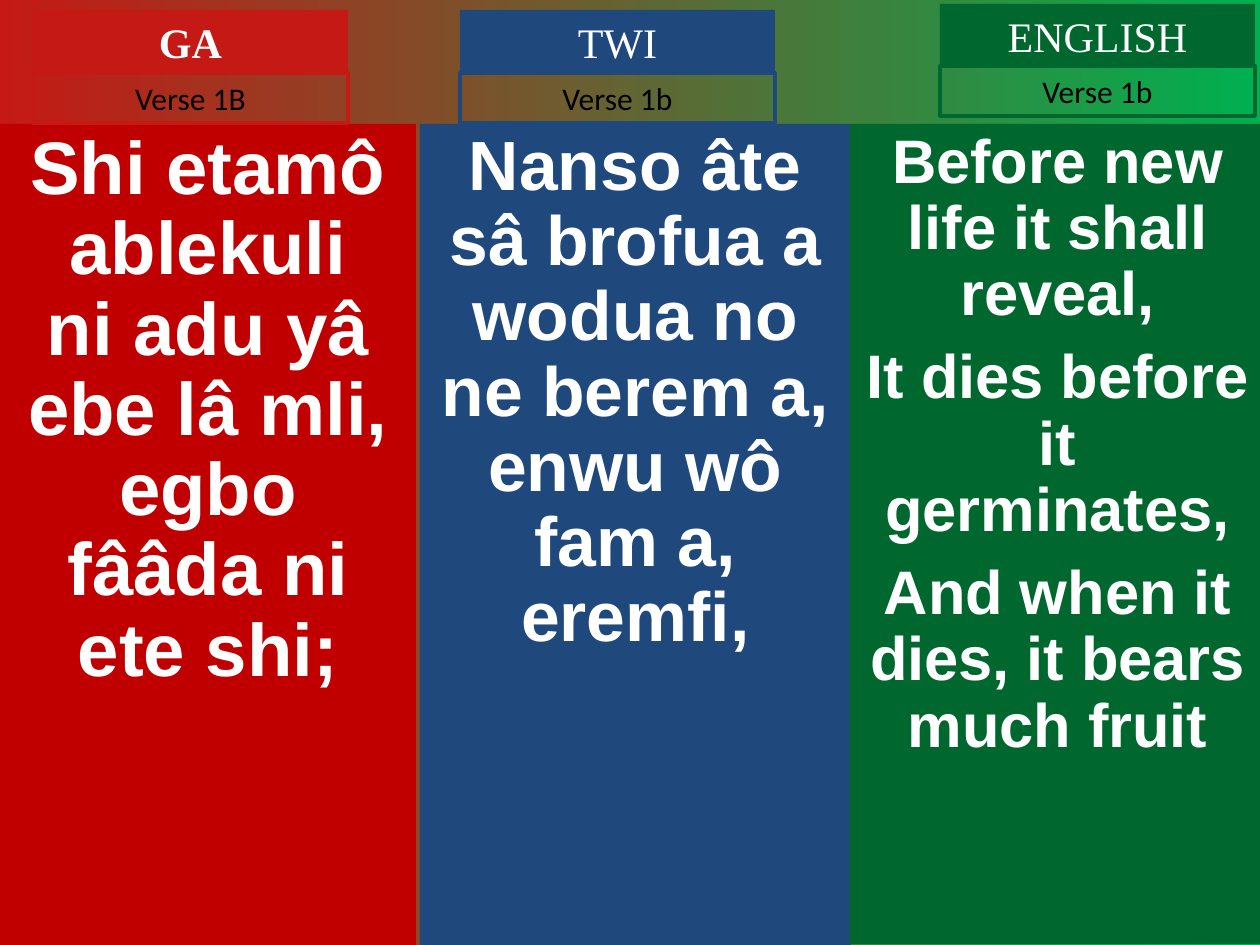
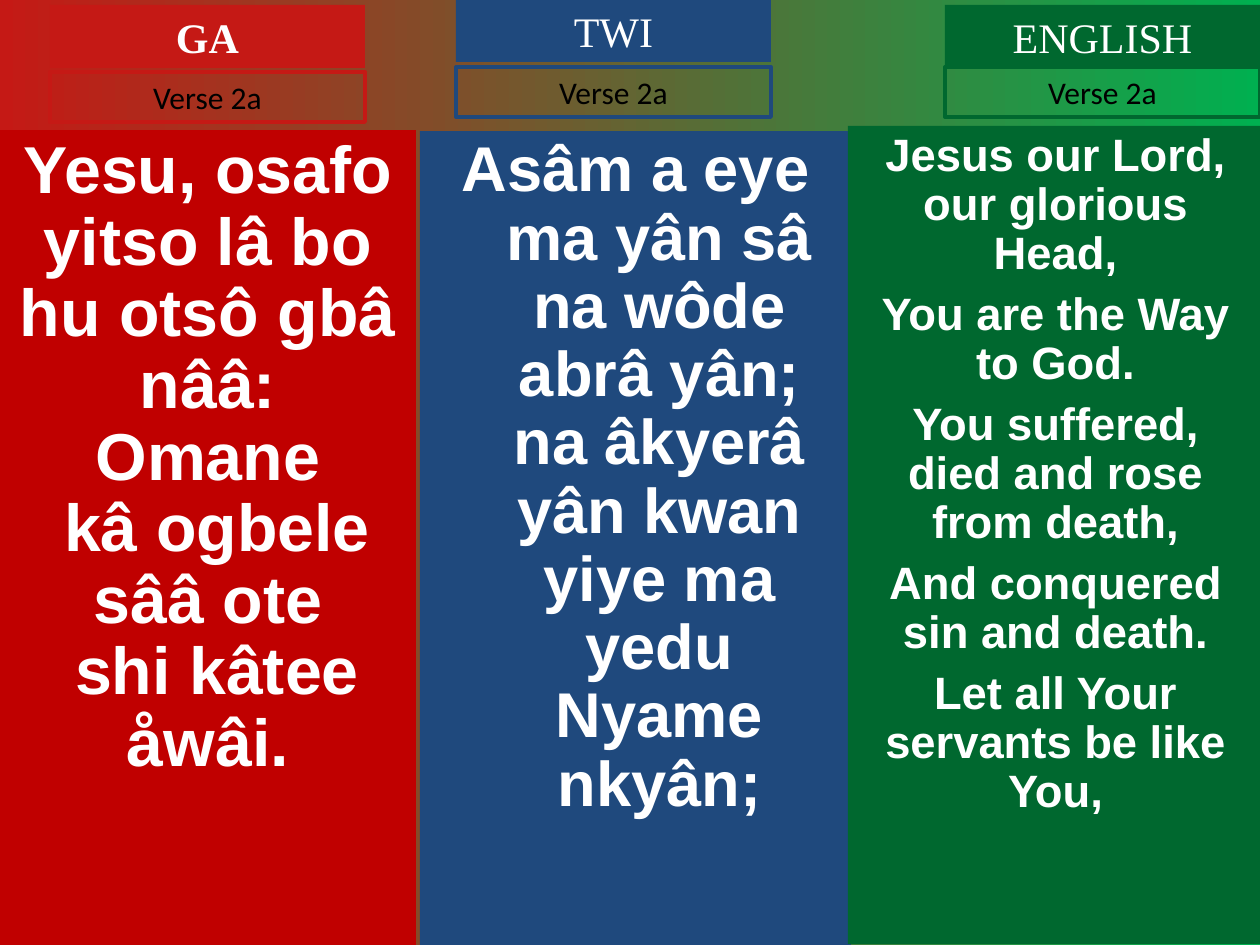
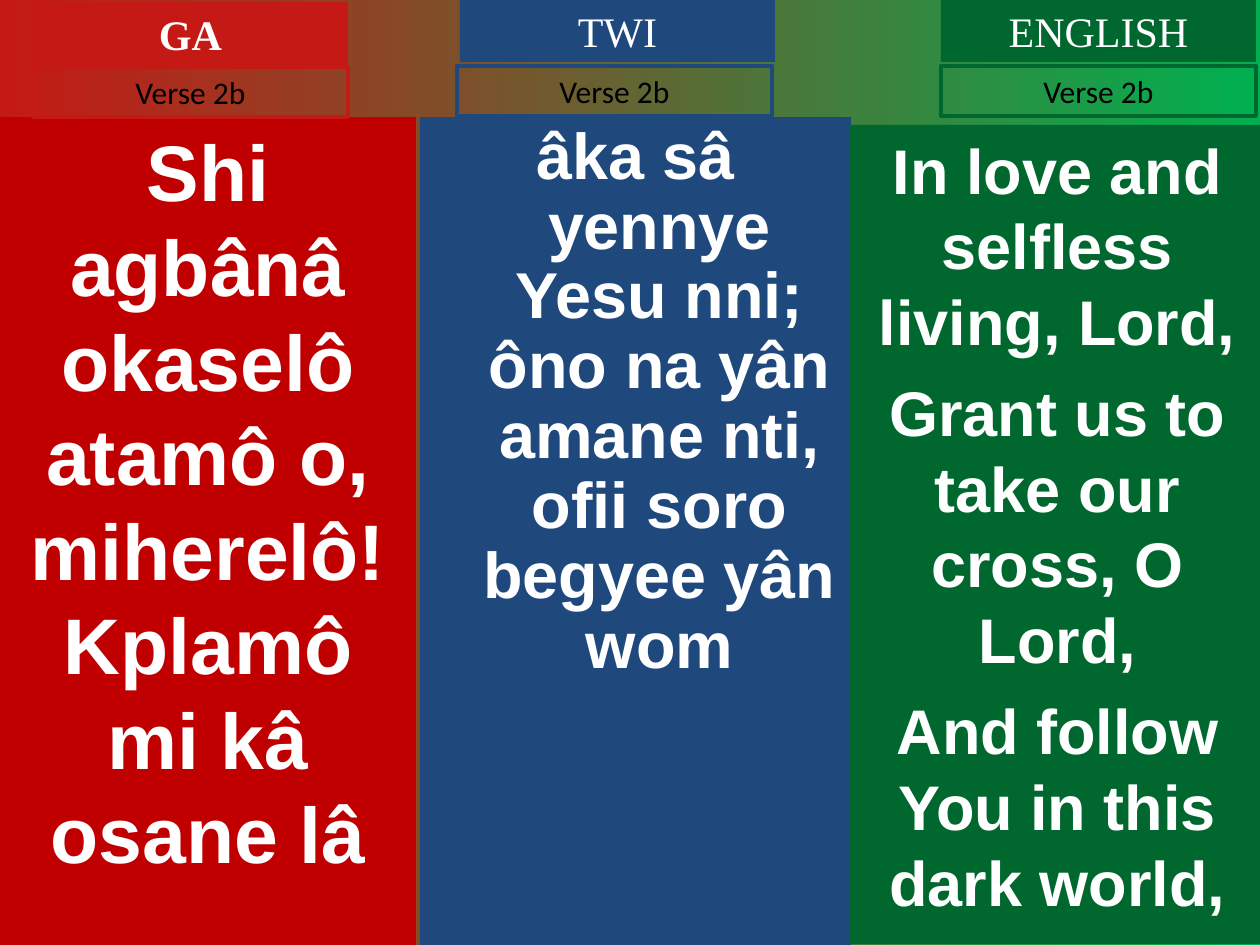
"""Build three hymn slides with the verse in Ga, Twi and English side by side."""
from pptx import Presentation
from pptx.dml.color import RGBColor
from pptx.enum.shapes import MSO_SHAPE
from pptx.enum.text import MSO_ANCHOR, MSO_AUTO_SIZE, PP_ALIGN
from pptx.util import Emu, Pt

WIDTH, HEIGHT = 1260, 945
LABEL_W, LABEL_H, VERSE_H = 315, 63, 50
HANG = 48
BACKGROUND = ("C51915", "00B050")
WHITE, BLACK = "FFFFFF", "000000"

LANGUAGES = [
    dict(name="GA", panel="C00000", label="C51915", bold=True, width=416, bottom=945),
    dict(name="TWI", panel="1F497D", label="1F497D", bold=False, width=431, bottom=945),
    dict(name="ENGLISH", panel="00682F", label="00682F", bold=False, width=415, bottom=944),
]

SLIDES = [
    [
        dict(panel=(0, 124), label=(33, 10), verse=(33, 73), title="Verse 1B",
             size=42.5, spacing=0.9,
             lines=["Shi etamô ablekuli", "ni adu yâ ebe lâ mli,", "egbo fââda ni ete shi;"]),
        dict(panel=(420, 124), label=(460, 10), verse=(460, 73), title="Verse 1b",
             size=39.8, spacing=0.9,
             lines=["Nanso âte sâ brofua a", "wodua no ne berem a,", "enwu wô fam a, eremfi,"]),
        dict(panel=(850, 124), label=(940, 4), verse=(940, 66), title="Verse 1b",
             size=35.1, spacing=0.9, before=9.5,
             lines=["Before new life it shall reveal,", "It dies before it germinates,",
                    "And when it dies, it bears much fruit"]),
    ],
    [
        dict(panel=(0, 130), label=(50, 5), verse=(50, 72), title="Verse 2a",
             size=37.9, spacing=0.9,
             lines=["Yesu, osafo yitso lâ bo hu otsô gbâ nââ:", "Omane",
                    " kâ ogbele sââ ote", " shi kâtee åwâi."]),
        dict(panel=(420, 131), label=(456, -1), verse=(456, 67), title="Verse 2a",
             size=36.1, spacing=0.9, hang=HANG,
             lines=["Asâm a eye ma yân sâ na wôde abrâ yân; na âkyerâ yân kwan yiye ma "
                    "yedu Nyame nkyân;"]),
        dict(panel=(848, 126), label=(945, 5), verse=(945, 67), title="Verse 2a",
             size=25.9, spacing=0.9, before=7,
             lines=["Jesus our Lord, our glorious Head,", "You are the Way to God.",
                    "You suffered, died and rose from death,", "And conquered sin and death.",
                    "Let all Your servants be like You,"]),
    ],
    [
        dict(panel=(0, 117), label=(33, 2), verse=(33, 67), title="Verse 2b",
             size=45, spacing=1.0,
             lines=["Shi agbânâ okaselô", "atamô o, miherelô!", "Kplamô mi kâ osane lâ"]),
        dict(panel=(420, 117), label=(460, -1), verse=(457, 66), title="Verse 2b",
             size=37, spacing=0.9, hang=HANG,
             lines=["âka sâ yennye Yesu nni; ôno na yân amane nti, ofii soro begyee yân wom"]),
        dict(panel=(850, 125), label=(941, -1), verse=(941, 66), title="Verse 2b",
             size=36, spacing=1.0, before=9,
             lines=["In love and selfless living, Lord,", "Grant us to take our cross, O Lord,",
                    "And follow You in this dark world,"]),
    ],
]


def px(n):
    return Emu(round(n * 914400 / 126))


def rgb(color):
    return RGBColor.from_string(color)


def add_box(s, pos, width, height, fill=None, line=None):
    sp = s.shapes.add_shape(MSO_SHAPE.RECTANGLE, *map(px, (*pos, width, height)))
    sp.shadow.inherit = False
    if fill:
        sp.fill.solid()
        sp.fill.fore_color.rgb = rgb(fill)
    else:
        sp.fill.background()
    if line:
        sp.line.color.rgb = rgb(line)
        sp.line.width = Pt(2.25)
    else:
        sp.line.fill.background()
    return sp


def write(sp, lines, font, size, color, bold=False, spacing=1.0, before=0, hang=0, grow=False):
    tf = sp.text_frame
    tf.word_wrap = True
    tf.vertical_anchor = MSO_ANCHOR.TOP
    if grow:
        tf.auto_size = MSO_AUTO_SIZE.SHAPE_TO_FIT_TEXT
    for i, line in enumerate(lines):
        p = tf.add_paragraph() if i else tf.paragraphs[0]
        p.alignment = PP_ALIGN.CENTER
        p.line_spacing = spacing
        p.space_before = Pt(before if i else 0)
        if hang:
            pPr = p._p.get_or_add_pPr()
            pPr.set("marL", str(px(hang)))
            pPr.set("indent", str(-px(hang)))
        r = p.add_run()
        r.text = line
        r.font.name, r.font.size, r.font.bold = font, Pt(size), bold
        r.font.color.rgb = rgb(color)


def add_column(s, lang, col):
    top = col["panel"][1]
    panel = add_box(s, col["panel"], lang["width"], lang["bottom"] - top, fill=lang["panel"])
    write(panel, col["lines"], "Arial", col["size"], WHITE, True, col["spacing"],
          col.get("before", 0), col.get("hang", 0))
    label = add_box(s, col["label"], LABEL_W, LABEL_H, fill=lang["label"])
    write(label, [lang["name"]], "Times New Roman", 24, WHITE, lang["bold"], grow=True)
    verse = add_box(s, col["verse"], LABEL_W, VERSE_H, line=lang["label"])
    write(verse, [col["title"]], "Calibri", 18, BLACK, grow=True)


def add_background(s):
    fill = s.background.fill
    fill.gradient()
    fill.gradient_angle = 0
    for stop, color in zip(fill.gradient_stops, BACKGROUND):
        stop.color.rgb = rgb(color)


def main():
    prs = Presentation()
    prs.slide_width, prs.slide_height = px(WIDTH), px(HEIGHT)
    for columns in SLIDES:
        s = prs.slides.add_slide(prs.slide_layouts[6])
        add_background(s)
        for lang, col in zip(LANGUAGES, columns):
            add_column(s, lang, col)
    prs.save("out.pptx")


if __name__ == "__main__":
    main()
